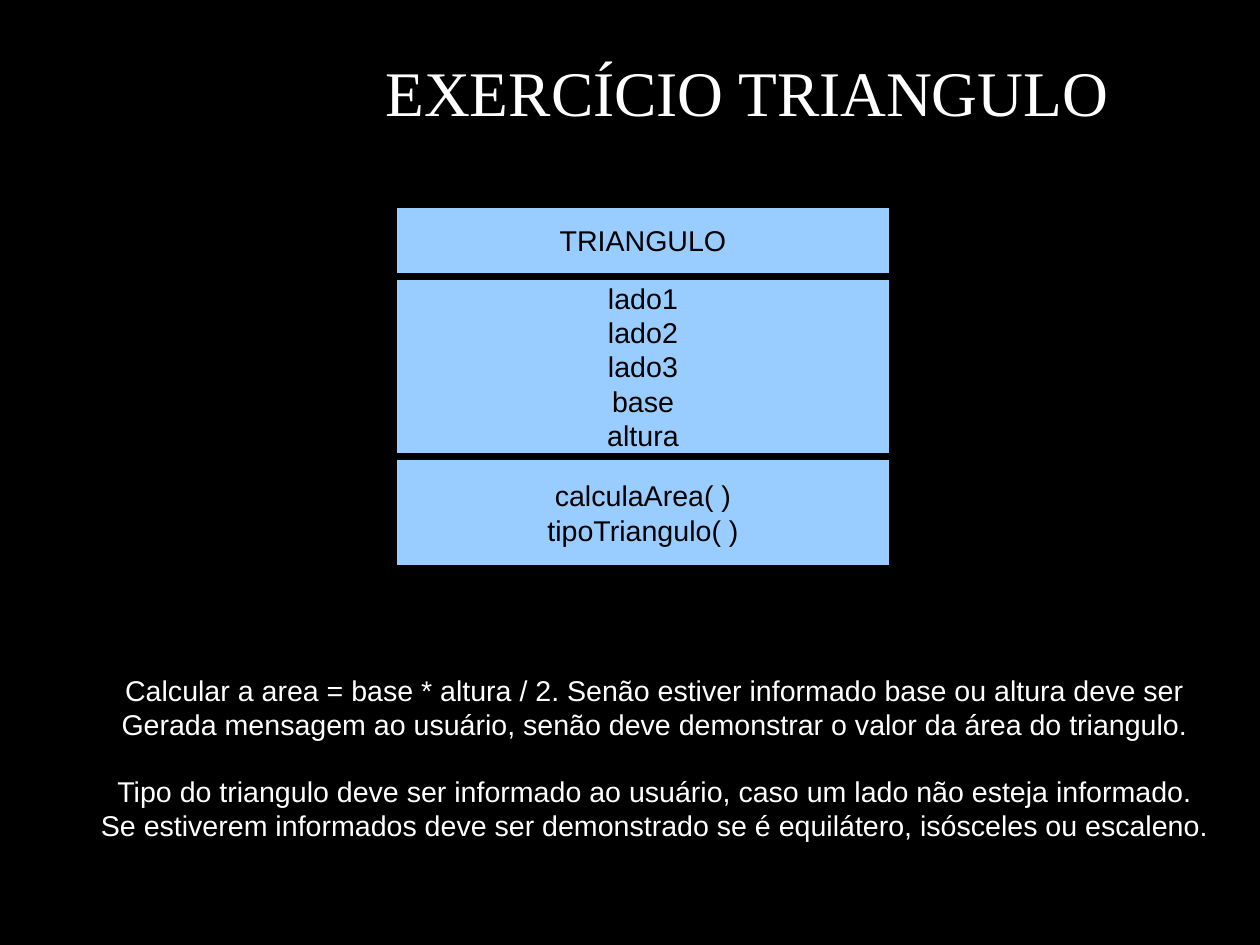
from pptx import Presentation
from pptx import util as u
from pptx.dml.color import RGBColor
from pptx.enum import shapes, text

TITLE = "EXERCÍCIO TRIANGULO"
CLASS_BOXES = [
    (67, ["TRIANGULO"]),
    (175, ["lado1", "lado2", "lado3", "base", "altura"]),
    (107, ["calculaArea( )", "tipoTriangulo( )"]),
]
RULES = [
    ["Calcular a area = base * altura / 2. Senão estiver informado base ou altura deve ser",
     "Gerada mensagem ao usuário, senão deve demonstrar o valor da área do triangulo."],
    ["Tipo do triangulo deve ser informado ao usuário, caso um lado não esteja informado.",
     "Se estiverem informados deve ser demonstrado se é equilátero, isósceles ou escaleno."],
]
BLACK, WHITE, BLUE = "000000", "FFFFFF", "99CCFF"
BOX_LEFT, BOX_TOP, BOX_WIDTH, BOX_GAP = 396, 207, 494, 5
BLOCK_SPACE = 20.7


def px(n):
    return u.Emu(n * 8000)


def rgb(color):
    return RGBColor.from_string(color)


def write(tf, lines, color, size=18, font="Arial", anchor=text.MSO_ANCHOR.TOP):
    tf.word_wrap = False
    tf.auto_size = text.MSO_AUTO_SIZE.NONE
    tf.vertical_anchor = anchor
    for i, line in enumerate(lines):
        p = tf.paragraphs[0] if i == 0 else tf.add_paragraph()
        p.alignment = text.PP_ALIGN.CENTER
        r = p.add_run()
        r.text = line
        r.font.size = u.Pt(size)
        r.font.name = font
        r.font.color.rgb = rgb(color)


def add_class_box(slide, top, height, lines):
    sp = slide.shapes.add_shape(shapes.MSO_SHAPE.RECTANGLE,
                                px(BOX_LEFT), px(top), px(BOX_WIDTH), px(height))
    sp.shadow.inherit = False
    sp.fill.solid()
    sp.fill.fore_color.rgb = rgb(BLUE)
    sp.line.color.rgb = rgb(BLACK)
    sp.line.width = 0
    write(sp.text_frame, lines, BLACK, anchor=text.MSO_ANCHOR.MIDDLE)


def main():
    prs = Presentation()
    prs.slide_width, prs.slide_height = px(1260), px(945)
    slide = prs.slides.add_slide(prs.slide_layouts[5])
    slide.background.fill.solid()
    slide.background.fill.fore_color.rgb = rgb(BLACK)

    title = slide.shapes.title
    title.left, title.top, title.width, title.height = px(234), px(47), px(1026), px(90)
    write(title.text_frame, [TITLE], WHITE, 40, "Times New Roman")

    top = BOX_TOP
    for height, lines in CLASS_BOXES:
        add_class_box(slide, top, height, lines)
        top += height + BOX_GAP

    rules = slide.shapes.add_textbox(px(90), px(667), px(1129), px(172))
    tf = rules.text_frame
    write(tf, [line for block in RULES for line in block], WHITE)
    tf.paragraphs[len(RULES[0])].space_before = u.Pt(BLOCK_SPACE)

    prs.save("out.pptx")


if __name__ == "__main__":
    main()
